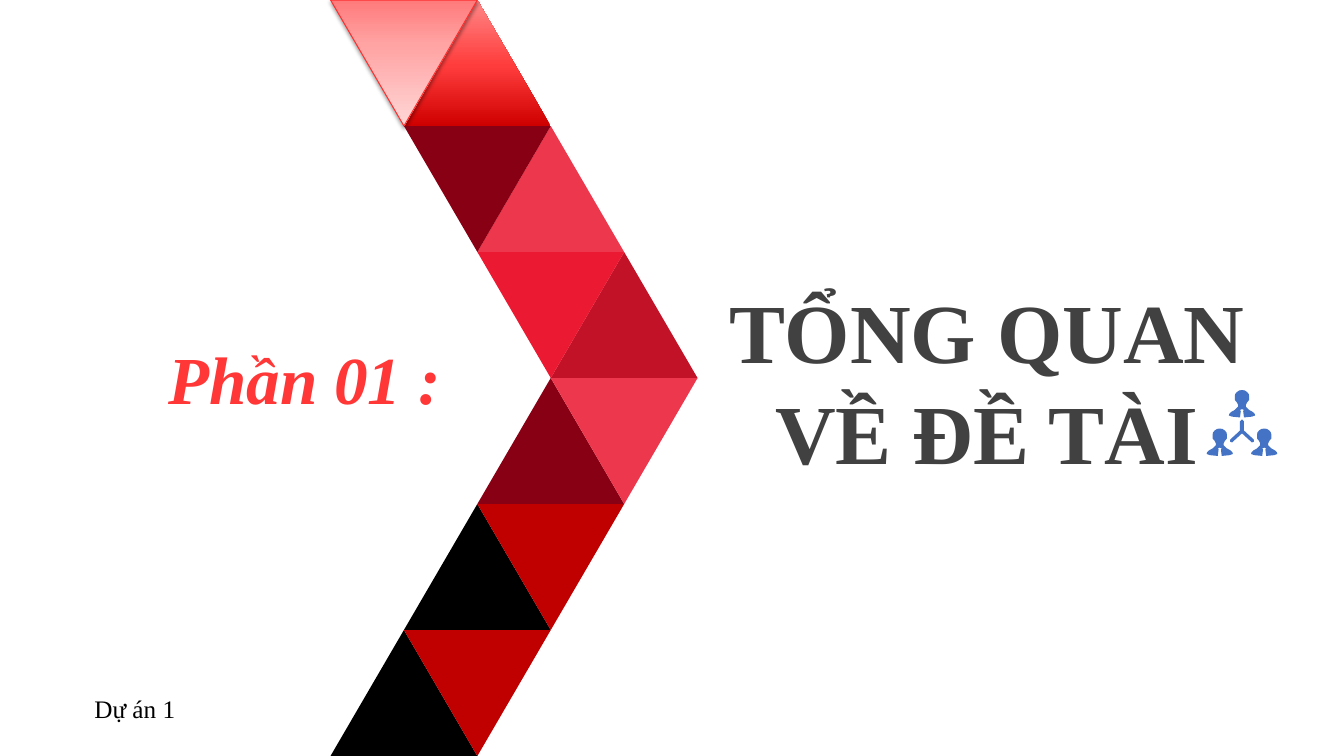
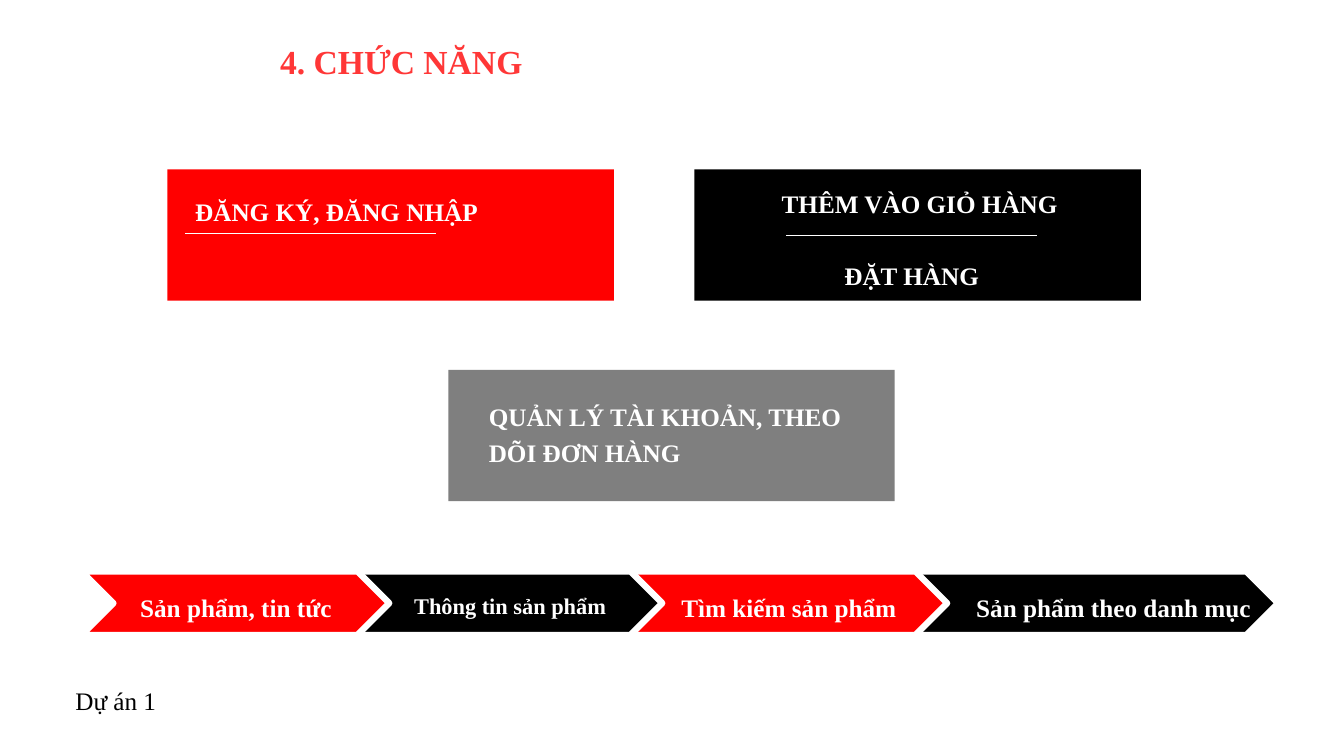
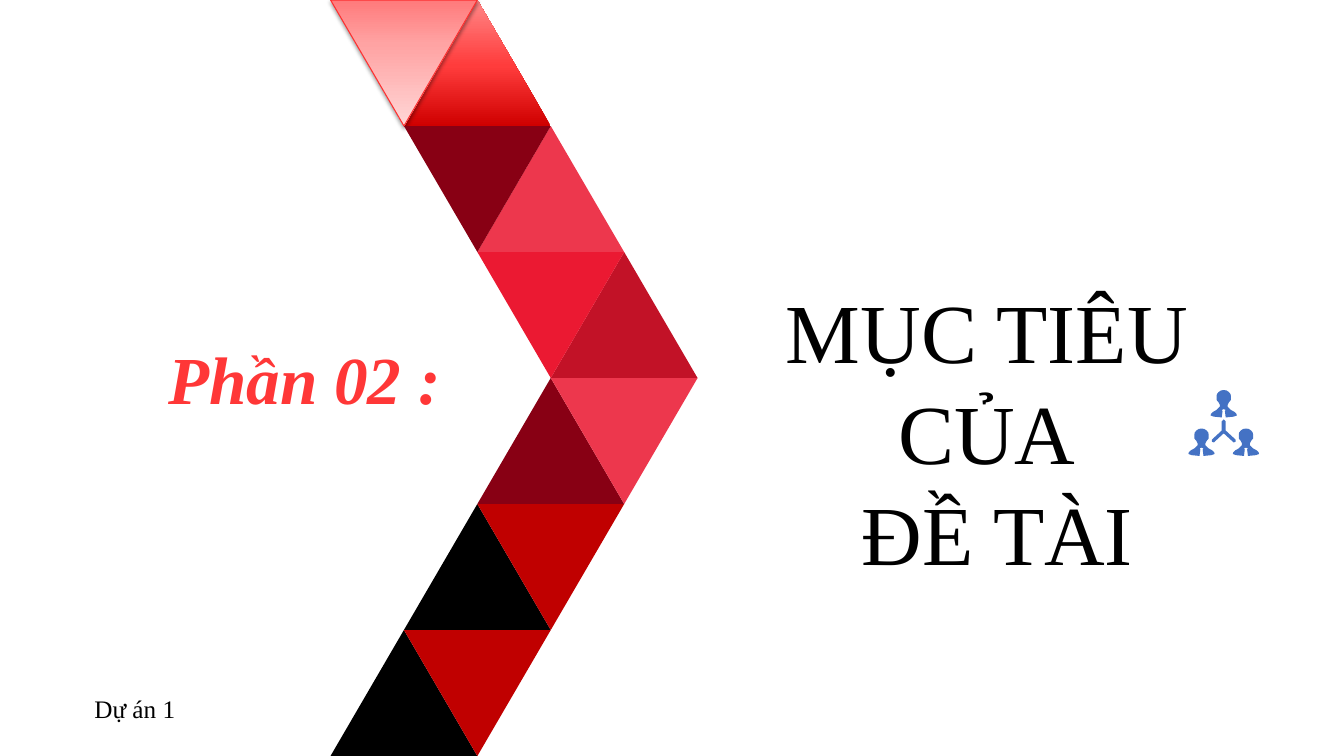
"""Build two section slides and one slide of functions."""
from lxml import etree
from pptx import Presentation
from pptx.dml.color import RGBColor
from pptx.enum.shapes import MSO_CONNECTOR, MSO_SHAPE
from pptx.enum.text import PP_ALIGN
from pptx.oxml import parse_xml
from pptx.oxml.ns import qn
from pptx.util import Cm, Pt

FONT = "Times New Roman"
CENTER, LEFT = PP_ALIGN.CENTER, PP_ALIGN.LEFT
RECT, ARROW, CHEVRON = MSO_SHAPE.RECTANGLE, MSO_SHAPE.PENTAGON, MSO_SHAPE.CHEVRON
TRIANGLE, LINE = MSO_SHAPE.ISOSCELES_TRIANGLE, MSO_CONNECTOR.STRAIGHT
DRAWING = 'xmlns:a="http://schemas.openxmlformats.org/drawingml/2006/main"'

BLACK = RGBColor(0x00, 0x00, 0x00)
WHITE = RGBColor(0xFF, 0xFF, 0xFF)
RED = RGBColor(0xFF, 0x00, 0x00)
CORAL = RGBColor(0xFF, 0x37, 0x37)
GRAY = RGBColor(0x7F, 0x7F, 0x7F)
DARK = RGBColor(0x41, 0x41, 0x41)
BLUE = RGBColor(0x44, 0x72, 0xC4)
WINE = RGBColor(0x88, 0x00, 0x14)
ROSE = RGBColor(0xED, 0x37, 0x4D)
CRIMSON = RGBColor(0xEB, 0x19, 0x32)
RUBY = RGBColor(0xC2, 0x12, 0x27)
BRICK = RGBColor(0xC0, 0x00, 0x00)
EDGE = RGBColor(0xFD, 0x30, 0x30)
FLAME = ((0, "CF0000"), (48, "FF3C3C"), (100, "FF8787"))
BLUSH = ((0, "FF7A7B"), (35, "FFA3A3"), (100, "FFD6D6"))

WIDTH, HEIGHT = 33.87, 19.05
FOOTER = "Dự án 1"

SECTIONS = [
    {"part": "Phần 01 :", "lines": ["TỔNG QUAN", "VỀ ĐỀ TÀI"],
     "color": DARK, "bold": True, "icon": 31.3},
    {"part": "Phần 02 :", "lines": ["MỤC TIÊU CỦA", " ĐỀ TÀI"],
     "color": BLACK, "bold": False, "icon": 30.84},
]

STEP = 1.85
BAND = [
    (1, FLAME, 0, BLUSH),
    (2, ROSE, 1, WINE),
    (3, RUBY, 2, CRIMSON),
    (2, WINE, 3, ROSE),
    (1, BLACK, 2, BRICK),
    (0, BLACK, 1, BRICK),
]

PERSON = [(0, 0), (.07, .01), (.13, .05), (.17, .1), (.18, .15), (.18, .25),
          (.13, .31), (.1, .37), (.1, .42), (.18, .5), (.27, .55), (.32, .6),
          (.33, .64), (.25, .67), (.05, .69), (.03, .53), (.05, .5), (0, .48)]
FORK = [(0, .74), (.05, .79), (.05, 1.02), (.3, 1.25), (.3, 1.3), (.25, 1.32),
        (0, 1.09)]
ICON = [(PERSON, 0, 0), (PERSON, -.56, .97), (PERSON, .56, .97), (FORK, 0, 0)]
ICON_TOP = 9.83

TITLE = "4. CHỨC NĂNG"
CARD_SIZE = (11.25, 3.31)
CARDS = [(4.22, 4.27, RED), (17.5, 4.27, BLACK), (11.3, 9.32, GRAY)]
LABELS = [
    ("ĐĂNG KÝ, ĐĂNG NHẬP", 4.67, 4.67, 9.19),
    ("THÊM VÀO GIỎ HÀNG", 19.45, 4.47, 8),
    ("ĐẶT HÀNG", 21.03, 6.28, 5.5),
    ("QUẢN LÝ TÀI KHOẢN, THEO DÕI ĐƠN HÀNG", 12.07, 9.83, 10.19),
]
RULES = [(4.67, 5.89), (19.81, 5.94)]
RULE_LEN = 6.32

STRIP_TOP, STRIP_HIGH = 14.4, 1.6
STRIP = [
    (CHEVRON, RED, 2.06, 7.75, "Sản phẩm, tin tức", 2.67, 6.55, 18),
    (CHEVRON, BLACK, 8.94, 7.75, "Thông tin sản phẩm", 10.01, 5.69, 16),
    (ARROW, RED, 15.82, 8.05, "Tìm kiếm sản phẩm", 16.69, 6.38, 18),
    (ARROW, BLACK, 22.99, 9.22, "Sản phẩm theo danh mục", 23.88, 8.36, 18),
]


def add_text(slide, lines, left, top, width, size, color, high=1.02,
             bold=False, slant=False, align=LEFT, space=1.0):
    frame = slide.shapes.add_textbox(
        Cm(left), Cm(top), Cm(width), Cm(high)).text_frame
    frame.word_wrap = True
    frame.text = "\n".join(lines)
    for para in frame.paragraphs:
        para.alignment = align
        para.line_spacing = space
        for run in para.runs:
            font = run.font
            font.name, font.size = FONT, Pt(size)
            font.bold, font.italic = bold, slant
            font.color.rgb = color


def paint(shape, color, edge=None, weight=0.75):
    shape.shadow.inherit = False
    shape.fill.solid()
    shape.fill.fore_color.rgb = color
    if edge is None:
        shape.line.fill.background()
    else:
        shape.line.color.rgb = edge
        shape.line.width = Pt(weight)


def add_block(slide, kind, left, top, width, high, color, **line):
    shape = slide.shapes.add_shape(kind, Cm(left), Cm(top), Cm(width), Cm(high))
    paint(shape, color, **line)
    return shape


def shade(shape, stops):
    marks = "".join(
        f'<a:gs pos="{pos * 1000}"><a:srgbClr val="{tone}"/></a:gs>'
        for pos, tone in stops)
    fill = parse_xml(
        f'<a:gradFill {DRAWING} rotWithShape="1"><a:gsLst>{marks}</a:gsLst>'
        '<a:lin ang="16200000" scaled="0"/></a:gradFill>')
    props = shape.element.spPr
    props.replace(props.find(qn("a:solidFill")), fill)


def cast(shape):
    glow = parse_xml(
        f'<a:outerShdw {DRAWING} blurRad="{Pt(3.1)}" dist="{Pt(1.6)}" '
        'dir="5400000" rotWithShape="0"><a:srgbClr val="000000">'
        '<a:alpha val="38000"/></a:srgbClr></a:outerShdw>')
    shape.element.spPr.find(qn("a:effectLst")).append(glow)


def add_band(slide):
    high = HEIGHT / len(BAND)
    for row, (up, up_fill, down, down_fill) in enumerate(BAND):
        for col, fill, turn in ((up, up_fill, 0), (down, down_fill, 180)):
            faded = isinstance(fill, tuple) and not isinstance(fill, RGBColor)
            shape = add_block(slide, TRIANGLE, 8.33 + col * STEP, row * high,
                              2 * STEP, high, RED if faded else fill,
                              edge=EDGE if fill is BLUSH else None)
            shape.rotation = turn
            if faded:
                shade(shape, fill)
            if fill is BLUSH:
                cast(shape)


def add_icon(slide, mid):
    pen = None
    for half, across, down in ICON:
        whole = half + [(-x, y) for x, y in reversed(half)]
        dots = [(Cm(mid + across + x), Cm(ICON_TOP + down + y))
                for x, y in whole]
        if pen is None:
            pen = slide.shapes.build_freeform(*dots[0])
        else:
            pen.move_to(*dots[0])
        pen.add_line_segments(dots[1:], close=True)
    paint(pen.convert_to_shape(), BLUE)


def add_rule(slide, left, top):
    rule = slide.shapes.add_connector(
        LINE, Cm(left), Cm(top), Cm(left + RULE_LEN), Cm(top))
    rule.line.color.rgb = WHITE
    rule.line.width = Pt(0.75)
    etree.SubElement(rule.element.spPr, qn("a:effectLst"))


def add_footer(slide, left, top):
    add_text(slide, [FOOTER], left, top, 7.19, 18, BLACK)


def fill_section(slide, data):
    add_band(slide)
    add_text(slide, [data["part"]], 3.99, 8.38, 10.46, 48, CORAL, high=2.29,
             bold=True, slant=True)
    add_text(slide, data["lines"], 18.01, 6.93, 13.72, 60, data["color"],
             high=5.38, bold=data["bold"], align=CENTER)
    add_icon(slide, data["icon"])
    add_footer(slide, 2.13, 17.35)


def fill_functions(slide):
    for left, top, color in CARDS:
        add_block(slide, RECT, left, top, *CARD_SIZE, color)
    for text, left, top, width in LABELS:
        add_text(slide, [text], left, top, width, 18, WHITE, bold=True,
                 space=1.2)
    for spot in RULES:
        add_rule(slide, *spot)
    add_text(slide, [TITLE], 6.81, 0.91, 10.72, 24, CORAL, bold=True)
    add_footer(slide, 1.65, 17.15)
    for kind, color, left, width, *_ in reversed(STRIP):
        add_block(slide, kind, left, STRIP_TOP, width, STRIP_HIGH, color,
                  edge=WHITE, weight=4.5)
    for *_, text, left, width, size in STRIP:
        add_text(slide, [text], left, 14.66, width, size, WHITE, bold=True,
                 align=CENTER, space=1.2)


def main():
    deck = Presentation()
    deck.slide_width, deck.slide_height = Cm(WIDTH), Cm(HEIGHT)
    blank = deck.slide_layouts[6]
    first, last = SECTIONS
    fill_section(deck.slides.add_slide(blank), first)
    fill_functions(deck.slides.add_slide(blank))
    fill_section(deck.slides.add_slide(blank), last)
    deck.save("out.pptx")


if __name__ == "__main__":
    main()
